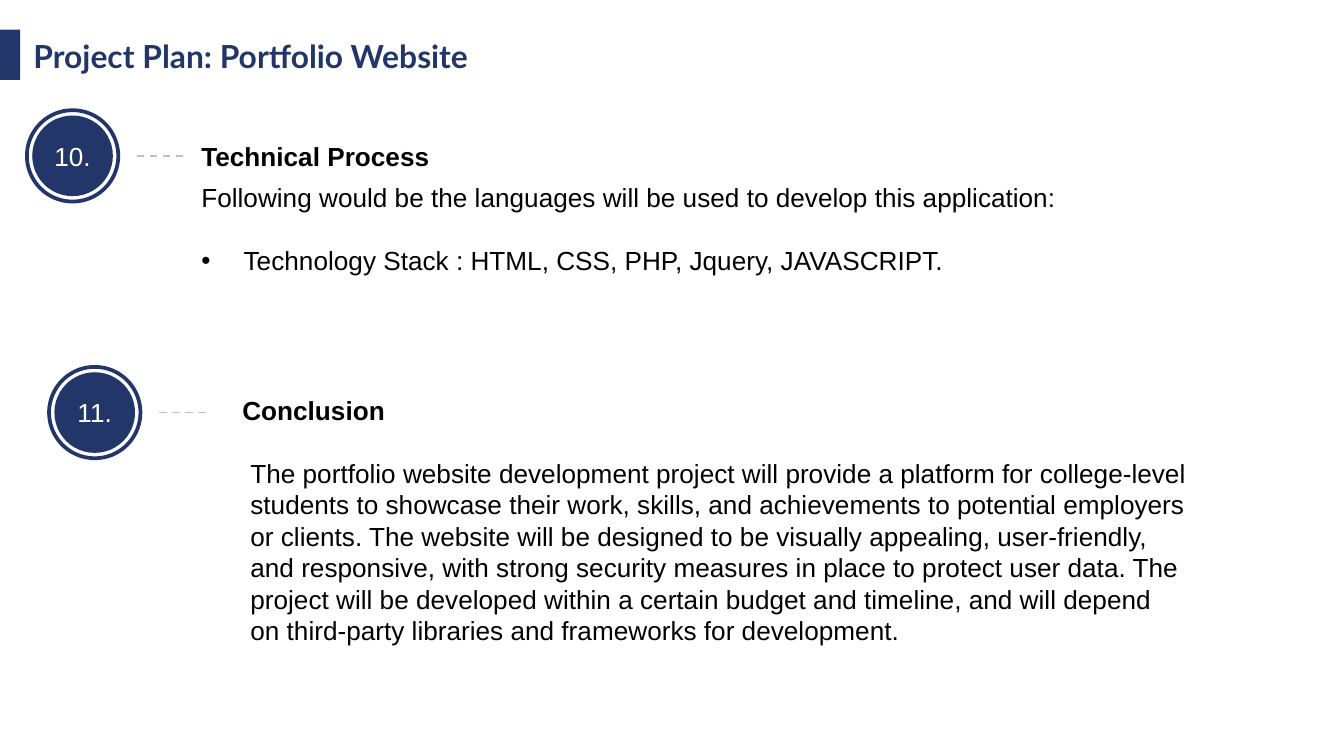
from lxml.etree import SubElement
from pptx import Presentation
from pptx.dml.color import RGBColor
from pptx.enum.dml import MSO_LINE
from pptx.enum.shapes import MSO_CONNECTOR, MSO_SHAPE
from pptx.enum.text import MSO_ANCHOR, PP_ALIGN
from pptx.oxml.ns import qn
from pptx.util import Emu, Pt

PX = 4572  # 200 px to the inch
NAVY, TITLE_NAVY, GREY, BLACK, WHITE = "223669", "22366A", "BFBFBF", "000000", "FFFFFF"

CONCLUSION = (
    "The portfolio website development project will provide a platform for "
    "college-level students to showcase their work, skills, and achievements to "
    "potential employers or clients. The website will be designed to be visually "
    "appealing, user-friendly, and responsive, with strong security measures in "
    "place to protect user data. The project will be developed within a certain "
    "budget and timeline, and will depend on third-party libraries and frameworks "
    "for development."
)


def px(*lengths):
    return [Emu(length * PX) for length in lengths]


def color(code):
    return RGBColor.from_string(code)


def style(paragraph, size=14, font="Arial", ink=BLACK, bold=False):
    paragraph.font.size = Pt(size)
    paragraph.font.name = font
    paragraph.font.bold = bold
    paragraph.font.color.rgb = color(ink)


def add_shape(parent, kind, box, fill=None, line=None):
    shape = parent.shapes.add_shape(kind, *px(*box))
    shape.shadow.inherit = False
    if fill:
        shape.fill.solid()
        shape.fill.fore_color.rgb = color(fill)
    else:
        shape.fill.background()
    if line:
        shape.line.color.rgb = color(line)
        shape.line.width = Pt(2)
    else:
        shape.line.fill.background()
    return shape


def add_text(slide, box, text, **look):
    frame = slide.shapes.add_textbox(*px(*box)).text_frame
    frame.word_wrap = True
    frame.paragraphs[0].text = text
    style(frame.paragraphs[0], **look)
    return frame


def add_bullet(frame, text, gap):
    paragraph = frame.add_paragraph()
    paragraph.text = text
    paragraph.space_before = Pt(gap)
    properties = paragraph._p.get_or_add_pPr()
    indent, = px(63)
    properties.set("marL", str(indent))
    properties.set("indent", str(-indent))
    SubElement(properties, qn("a:buFont"), typeface="Arial")
    SubElement(properties, qn("a:buChar"), char="•")
    style(paragraph)


def add_badge(slide, left, top, number):
    """Numbered disc inside a ring, with a dashed lead to its section."""
    badge = slide.shapes.add_group_shape()
    disc = add_shape(badge, MSO_SHAPE.OVAL, (left + 8, top + 8, 120, 120), fill=NAVY)
    frame = disc.text_frame
    frame.margin_left, frame.margin_right = px(8, 8)
    frame.vertical_anchor = MSO_ANCHOR.MIDDLE
    label = frame.paragraphs[0]
    label.text = number
    label.alignment = PP_ALIGN.CENTER
    style(label, ink=WHITE)

    add_shape(badge, MSO_SHAPE.OVAL, (left, top, 136, 136), line=NAVY)

    middle = top + 68
    lead = badge.shapes.add_connector(
        MSO_CONNECTOR.STRAIGHT, *px(left + 164, middle, left + 240, middle))
    lead.line.color.rgb = color(GREY)
    lead.line.width = Pt(1)
    lead.line.dash_style = MSO_LINE.DASH
    SubElement(lead._element.spPr, qn("a:effectLst"))


def main():
    deck = Presentation()
    deck.slide_width, deck.slide_height = px(2000, 1125)
    slide = deck.slides.add_slide(deck.slide_layouts[6])

    # Title with its side bar
    add_shape(slide, MSO_SHAPE.RECTANGLE, (0, 44, 30, 75), fill=TITLE_NAVY)
    add_text(slide, (30, 45, 1724, 75), "Project Plan: Portfolio Website",
             size=17, font="Lato", ink=TITLE_NAVY, bold=True)

    # Technical process
    add_badge(slide, 40, 164, "10.")
    add_text(slide, (280, 199, 1474, 68), "Technical Process", bold=True)
    languages = add_text(
        slide, (280, 260, 1512, 154),
        "Following would be the languages will be used to develop this application:")
    add_bullet(languages, "Technology Stack : HTML, CSS, PHP, Jquery, JAVASCRIPT.", gap=17)

    # Conclusion
    add_badge(slide, 73, 546, "11.")
    add_text(slide, (341, 577, 360, 68), "Conclusion", bold=True)
    add_text(slide, (353, 671, 1434, 332), CONCLUSION)

    deck.save("out.pptx")


if __name__ == "__main__":
    main()
